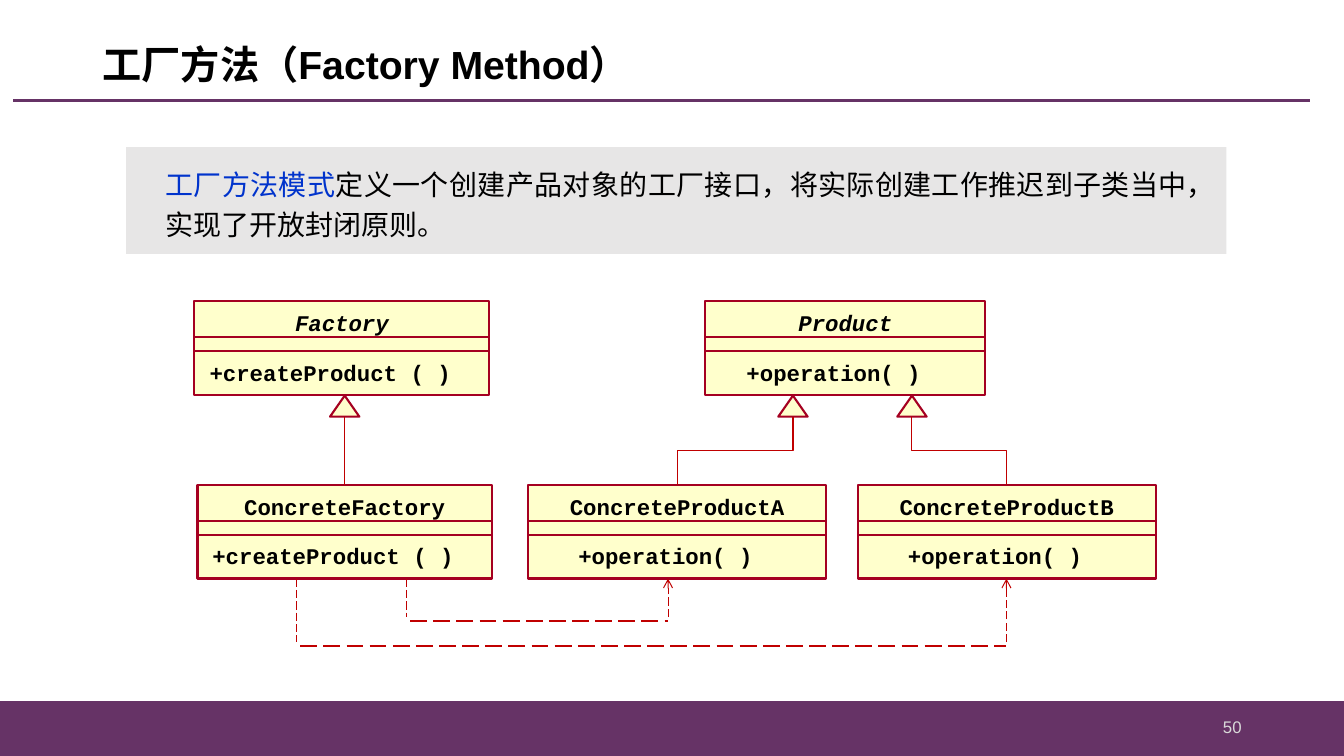
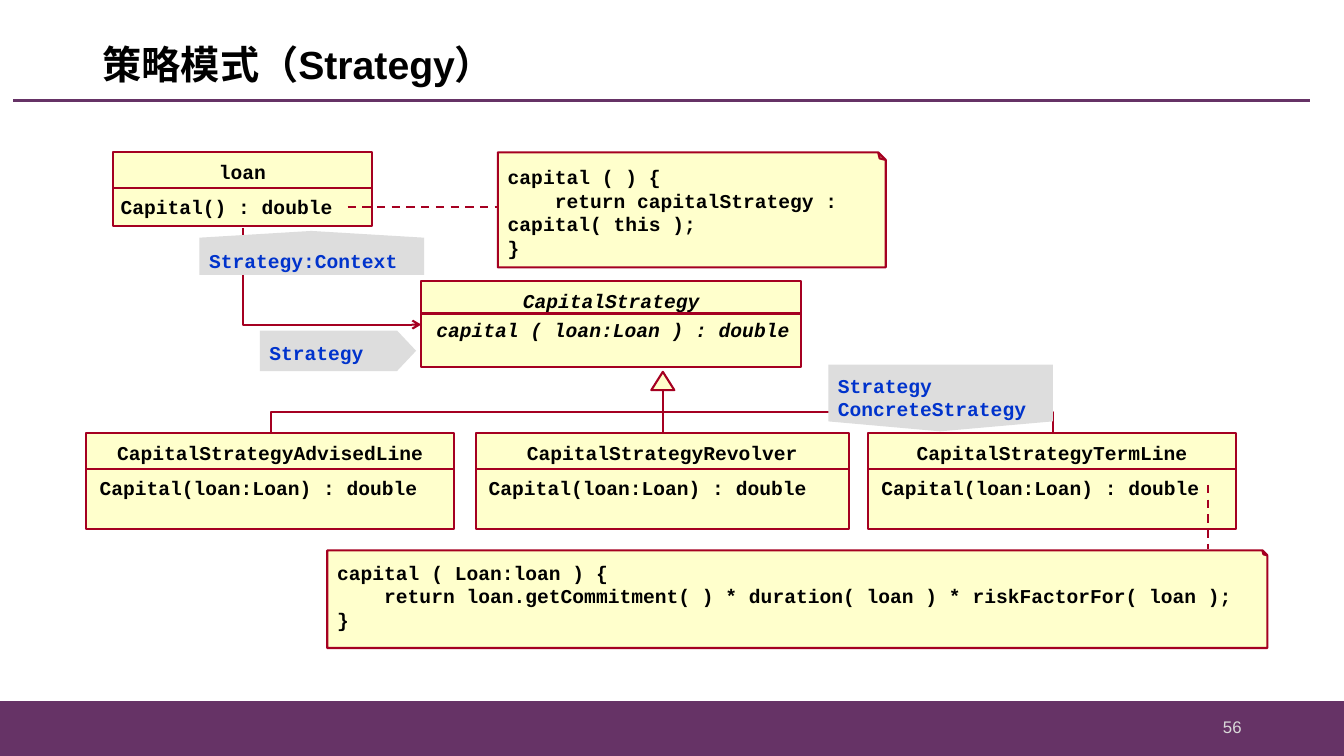
from dataclasses import dataclass, replace
from typing import Any, Optional

import lxml.etree
import pptx
import pptx.dml.color
import pptx.enum.dml
import pptx.enum.shapes
import pptx.enum.text
import pptx.oxml.ns
import pptx.util

Cm = pptx.util.Cm
Pt = pptx.util.Pt
qn = pptx.oxml.ns.qn
Align = pptx.enum.text.PP_ALIGN
Anchor = pptx.enum.text.MSO_ANCHOR
Dash = pptx.enum.dml.MSO_LINE
Preset = pptx.enum.shapes.MSO_SHAPE
Connector = pptx.enum.shapes.MSO_CONNECTOR

COLORS = {
    "band": "663366",
    "number": "D9D9D9",
    "black": "000000",
    "blue": "0033CC",
    "panel": "E7E6E6",
    "tag": "DDDDDD",
    "paper": "FFFFCC",
    "outline": "A50021",
    "relation": "C00000",
}
EAST_ASIAN_FONT = "Noto Sans CJK SC"


@dataclass(frozen=True)
class TextStyle:
    font: str
    size: float
    color: str = "black"
    bold: bool = False
    italic: bool = False
    align: Any = Align.LEFT
    spacing: float = 1.0
    anchor: Any = Anchor.TOP
    insets: tuple[float, float, float, float] = (0.25, 0.13, 0.25, 0.13)


TITLE = TextStyle("Arial", 28, bold=True, spacing=0.9, anchor=Anchor.MIDDLE)
NUMBER = TextStyle("Arial", 12, "number", align=Align.RIGHT, anchor=Anchor.MIDDLE)
PANEL = TextStyle(EAST_ASIAN_FONT, 20, align=Align.JUSTIFY, spacing=1.2,
                  insets=(0.99, 0.33, 0.99, 0.33))
CODE = TextStyle("Courier New", 14, bold=True)
TAG = replace(CODE, color="blue")


@dataclass(frozen=True)
class ClassLayout:
    size: float
    height: float
    dividers: tuple[float, ...]
    method_left: float
    method_top: float
    method_trim: float
    method_align: Any = Align.LEFT


PATTERN = ClassLayout(16, 2.36, (0.91, 1.26), 0.25, 1.42, 1.09, Align.CENTER)
CONTEXT = ClassLayout(14, 1.85, (0.89,), 0.2, 1.04, 0.4)
INTERFACE = ClassLayout(14, 2.16, (0.81,), 0.38, 0.89, 0.4)
CONCRETE = ClassLayout(14, 2.41, (0.89,), 0.33, 1.04, 0.35)


@dataclass(frozen=True)
class ClassBox:
    name: str
    method: str
    left: float
    top: float
    width: float
    layout: ClassLayout
    italic_name: bool = False
    italic_method: bool = False


@dataclass(frozen=True)
class Note:
    lines: tuple[str, ...]
    left: float
    top: float
    width: float
    height: float
    fold: int


@dataclass(frozen=True)
class Tag:
    lines: tuple[str, ...]
    points: tuple[tuple[float, float], ...]
    text_top: float


@dataclass(frozen=True)
class Dependency:
    source: float
    target: float
    level: float


def rgb(name: str) -> Any:
    return pptx.dml.color.RGBColor.from_string(COLORS[name])


def write(shape: Any, lines: tuple[str, ...], style: TextStyle) -> None:
    frame = shape.text_frame
    frame.word_wrap = True
    frame.vertical_anchor = style.anchor
    (frame.margin_left, frame.margin_top,
     frame.margin_right, frame.margin_bottom) = map(Cm, style.insets)
    for index, line in enumerate(lines):
        paragraph = frame.add_paragraph() if index else frame.paragraphs[0]
        paragraph.add_run().text = line
        paragraph.alignment = style.align
        paragraph.line_spacing = style.spacing
        font = paragraph.font
        font.name, font.size = style.font, Pt(style.size)
        font.bold, font.italic = style.bold, style.italic
        font.color.rgb = rgb(style.color)
        defaults = paragraph._p.pPr.find(qn("a:defRPr"))
        lxml.etree.SubElement(defaults, qn("a:ea"), typeface=EAST_ASIAN_FONT)


def paint(shape: Any, fill: str, line: Optional[str] = None, width: float = 1.5) -> None:
    shape.shadow.inherit = False
    shape.fill.solid()
    shape.fill.fore_color.rgb = rgb(fill)
    if line:
        shape.line.color.rgb = rgb(line)
        shape.line.width = Pt(width)
    else:
        shape.line.fill.background()


def add_preset(slide: Any, preset: Any, left: float, top: float, width: float,
               height: float, fill: str, line: Optional[str] = None) -> Any:
    shape = slide.shapes.add_shape(preset, Cm(left), Cm(top), Cm(width), Cm(height))
    paint(shape, fill, line)
    return shape


def add_text(slide: Any, left: float, top: float, width: float, height: float,
             text: str, style: TextStyle) -> None:
    write(slide.shapes.add_textbox(Cm(left), Cm(top), Cm(width), Cm(height)), (text,), style)


def add_line(slide: Any, x1: float, y1: float, x2: float, y2: float, color: str = "outline",
             width: float = 1.5, dash: Any = None, arrow: bool = False,
             kind: Any = Connector.STRAIGHT) -> Any:
    connector = slide.shapes.add_connector(kind, Cm(x1), Cm(y1), Cm(x2), Cm(y2))
    connector.line.color.rgb = rgb(color)
    connector.line.width = Pt(width)
    if dash:
        connector.line.dash_style = dash
    properties = connector._element.spPr
    if arrow:
        lxml.etree.SubElement(properties.find(qn("a:ln")), qn("a:tailEnd"), type="arrow")
    lxml.etree.SubElement(properties, qn("a:effectLst"))
    return connector


def add_elbow(slide: Any, x1: float, y1: float, x2: float, y2: float, color: str = "outline",
              width: float = 1.5, arrow: bool = False, single_bend: bool = False) -> None:
    center_x, center_y = (x1 + x2) / 2, (y1 + y2) / 2
    rightward = x2 > x1
    half_run = (y2 - y1) / 2 * (-1 if rightward else 1)
    half_rise = abs(x2 - x1) / 2
    connector = add_line(slide, center_x - half_run, center_y - half_rise,
                         center_x + half_run, center_y + half_rise,
                         color, width, arrow=arrow, kind=Connector.ELBOW)
    properties = connector._element.spPr
    properties.find(qn("a:xfrm")).set("rot", "16200000" if rightward else "5400000")
    if single_bend:
        properties.find(qn("a:prstGeom")).set("prst", "bentConnector2")


def add_class(slide: Any, box: ClassBox) -> None:
    layout = box.layout
    style = replace(CODE, size=layout.size)
    shape = add_preset(slide, Preset.RECTANGLE, box.left, box.top, box.width,
                       layout.height, "paper", "outline")
    write(shape, (box.name,), replace(style, align=Align.CENTER, spacing=1.1,
                                      italic=box.italic_name))
    for offset in layout.dividers:
        y = box.top + offset
        add_line(slide, box.left, y, box.left + box.width, y)
    add_text(slide, box.left + layout.method_left, box.top + layout.method_top,
             box.width - layout.method_trim, 0.76, box.method,
             replace(style, italic=box.italic_method, align=layout.method_align,
                     insets=(0, 0.03, 0, 0.13)))


def add_triangle(slide: Any, center: float, top: float, width: float, height: float) -> None:
    add_preset(slide, Preset.ISOSCELES_TRIANGLE, center - width / 2, top, width, height,
               "paper", "outline")


def add_note(slide: Any, note: Note) -> None:
    shape = add_preset(slide, Preset.FOLDED_CORNER, note.left, note.top, note.width,
                       note.height, "paper", "outline")
    write(shape, note.lines, CODE)
    properties = shape._element.spPr
    guides = properties.find(qn("a:prstGeom")).get_or_add_avLst()
    lxml.etree.SubElement(guides, qn("a:gd"), name="adj", fmla=f"val {note.fold}")
    properties.find(qn("a:xfrm")).set("flipV", "1")
    shape.text_frame._txBody.find(qn("a:bodyPr")).set("rot", "10800000")


def add_tag(slide: Any, tag: Tag) -> None:
    start, *others = [(Cm(x), Cm(y)) for x, y in tag.points]
    builder = slide.shapes.build_freeform(*start)
    builder.add_line_segments(others, close=True)
    shape = builder.convert_to_shape()
    paint(shape, "tag")
    write(shape, tag.lines, replace(TAG, insets=(0.24, tag.text_top, 0, 0)))


def add_dependency(slide: Any, dependency: Dependency, top: float) -> None:
    source, target, level = dependency.source, dependency.target, dependency.level
    add_line(slide, target, level - 0.1, target, top, "relation", 0.75, Dash.LONG_DASH, True)
    add_line(slide, source + 0.1, level, target, level, "relation", 1.5, Dash.LONG_DASH)
    add_line(slide, source, top, source, level - 0.1, "relation", 0.75, Dash.LONG_DASH)


def start_slide(presentation: Any, title: str, number: int) -> Any:
    slide = presentation.slides.add_slide(presentation.slide_layouts[6])
    add_preset(slide, Preset.RECTANGLE, 0, 17.7, 33.88, 1.35, "band", "band")
    add_line(slide, 0.33, 2.54, 33.02, 2.54, "band", 2.25)
    add_text(slide, 2.34, 0.76, 29.21, 1.85, title, TITLE)
    add_text(slide, 23.93, 17.81, 7.62, 1.02, str(number), NUMBER)
    return slide


def build_factory_method(presentation: Any) -> None:
    slide = start_slide(presentation, "工厂方法（Factory Method）", 50)
    create, operation = "+createProduct ( )", "+operation( )"
    upper, lower = 7.59, 12.22
    for box in (
        ClassBox("Factory", create, 4.9, upper, 7.44, PATTERN, italic_name=True),
        ClassBox("Product", operation, 17.78, upper, 7.06, PATTERN, italic_name=True),
        ClassBox("ConcreteFactory", create, 4.98, lower, 7.42, PATTERN),
        ClassBox("ConcreteProductA", operation, 13.31, lower, 7.52, PATTERN),
        ClassBox("ConcreteProductB", operation, 21.62, lower, 7.52, PATTERN),
    ):
        add_class(slide, box)
    for center in (8.69, 19.99, 22.99):
        add_triangle(slide, center, 9.97, 0.74, 0.53)
    add_line(slide, 8.69, 10.5, 8.69, lower, "relation", 0.75)
    for parent, child in ((19.99, 17.07), (22.99, 25.37)):
        add_elbow(slide, parent, 10.5, child, lower, "relation", 0.75)
    for dependency in (Dependency(10.24, 16.84, 15.65), Dependency(7.47, 25.37, 16.28)):
        add_dependency(slide, dependency, lower + PATTERN.height)

    panel = add_preset(slide, Preset.RECTANGLE, 3.18, 3.71, 27.74, 2.69, "panel")
    write(panel, ("工厂方法模式",), PANEL)
    paragraph = panel.text_frame.paragraphs[0]
    paragraph.runs[0].font.color.rgb = rgb("blue")
    paragraph.add_run().text = "定义一个创建产品对象的工厂接口，将实际创建工作推迟到子类当中，实现了开放封闭原则。"


def build_strategy(presentation: Any) -> None:
    slide = start_slide(presentation, "策略模式（Strategy）", 56)
    capital = "Capital(loan:Loan) : double"
    row = 10.92
    for box in (
        ClassBox("loan", "Capital() : double", 2.84, 3.84, 6.55, CONTEXT),
        ClassBox("CapitalStrategy", "capital ( loan:Loan ) : double", 10.62, 7.09, 9.58,
                 INTERFACE, italic_name=True, italic_method=True),
        ClassBox("CapitalStrategyAdvisedLine", capital, 2.18, row, 9.27, CONCRETE),
        ClassBox("CapitalStrategyRevolver", capital, 11.99, row, 9.42, CONCRETE),
        ClassBox("CapitalStrategyTermLine", capital, 21.89, row, 9.27, CONCRETE),
    ):
        add_class(slide, box)
    for note in (
        Note(("capital ( ) {", "    return capitalStrategy : capital( this );", "}"),
             12.55, 3.84, 9.78, 2.9, 6600),
        Note(("capital ( Loan:loan ) {",
              "    return loan.getCommitment( ) * duration( loan ) * riskFactorFor( loan );",
              "}"), 8.25, 13.87, 23.7, 2.46, 5100),
    ):
        add_note(slide, note)
    add_line(slide, 8.76, 5.21, 12.55, 5.21, dash=Dash.DASH)
    add_line(slide, 30.45, 12.22, 30.45, 13.84, dash=Dash.DASH)
    add_elbow(slide, 6.12, 5.74, 10.62, 8.18, arrow=True, single_bend=True)
    add_triangle(slide, 16.71, 9.37, 0.58, 0.46)
    add_line(slide, 16.71, 9.83, 16.71, row)
    for child in (6.83, 26.54):
        add_elbow(slide, 16.71, 9.83, child, row)
    for tag in (
        Tag(("Strategy",), ((6.55, 8.33), (10.01, 8.33), (10.49, 8.84),
                            (10.01, 9.35), (6.55, 9.35)), 0.25),
        Tag(("Strategy", "ConcreteStrategy"), ((20.88, 9.19), (26.54, 9.19), (26.54, 10.62),
                                               (23.7, 10.87), (20.88, 10.62)), 0.23),
        Tag(("Strategy:Context",), ((5.03, 6.93), (5.03, 5.99), (7.85, 5.82),
                                    (10.69, 5.99), (10.69, 6.93)), 0.46),
    ):
        add_tag(slide, tag)


def main() -> None:
    presentation = pptx.Presentation()
    presentation.slide_width, presentation.slide_height = Cm(33.88), Cm(19.05)
    build_factory_method(presentation)
    build_strategy(presentation)
    presentation.save("out.pptx")


if __name__ == "__main__":
    main()
